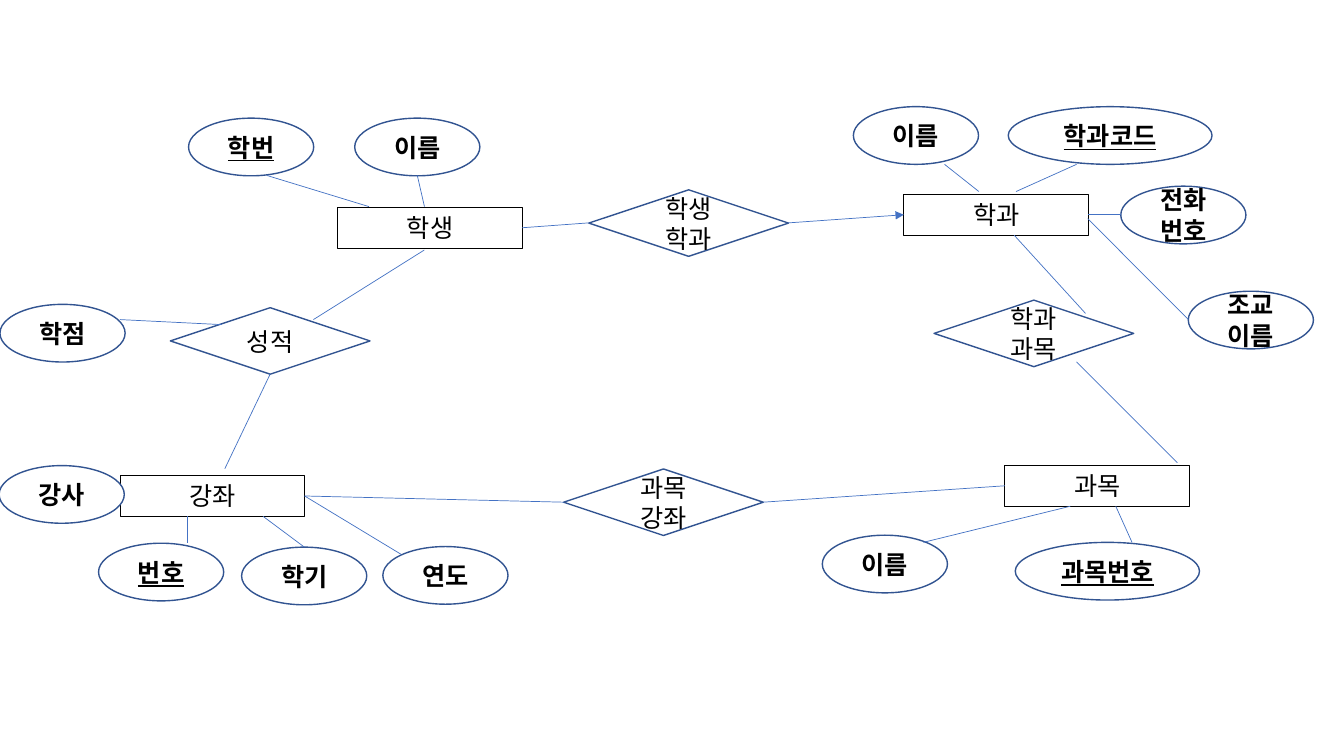
from lxml.etree import SubElement
from pptx import Presentation
from pptx.dml.color import RGBColor
from pptx.enum.lang import MSO_LANGUAGE_ID
from pptx.enum.shapes import MSO_CONNECTOR, MSO_SHAPE
from pptx.enum.text import MSO_ANCHOR, MSO_AUTO_SIZE, PP_ALIGN
from pptx.oxml.ns import qn
from pptx.util import Pt

BLACK = RGBColor(0x00, 0x00, 0x00)
WHITE = RGBColor(0xFF, 0xFF, 0xFF)
OUTLINE = RGBColor(0x32, 0x54, 0x91)
LINK = RGBColor(0x44, 0x72, 0xC4)
FONT = "Noto Sans CJK KR"

ENTITY_SIZE = (132, 29)
RELATION_SIZE = (142.6, 47.5)
ATTRIBUTE_WIDTH, ATTRIBUTE_HEIGHT = 89.4, 41.2

# Name, left, top
ENTITIES = [
    ("학생", 241.2, 148.2),
    ("과목", 717.8, 332.6),
    ("학과", 645.6, 139),
    ("강좌", 85.8, 339.8),
]
RELATIONS = [
    ("학과 과목", 667.2, 214.4),
    ("학생 학과", 420.6, 135.6),
    ("과목 강좌", 402.6, 335),
    ("성적", 121.7, 219.8),
]
ATTRIBUTES = [
    ("이름", 253.4, 84.4),
    ("이름", 609.6, 76.2),
    ("전화번호", 800.6, 133),
    ("조교 이름", 848.8, 208),
    ("이름", 587.4, 382.3),
    ("학기", 172.6, 390.8),
    ("연도", 273.5, 390.4),
    ("강사", -0.6, 332.6),
    ("학점", 0, 217.4),
]
# Name, left, top, width
KEY_ATTRIBUTES = [
    ("학번", 134.7, 84.4, ATTRIBUTE_WIDTH),
    ("학과코드", 720.2, 76.2, 145.6),
    ("과목번호", 725.2, 387.4, 131.6),
    ("번호", 70.4, 388, ATTRIBUTE_WIDTH),
]
# Start x, start y, end x, end y
ATTRIBUTE_LINKS = [
    (190.8, 125.4, 263.6, 147.6),
    (298.1, 125.4, 303.2, 147.6),
    (674.7, 117.4, 699.2, 136.8),
    (769, 117.4, 725.8, 136.8),
    (800.6, 153.4, 777, 153.4),
    (777, 156.2, 848.8, 228.2),
    (659.6, 387.4, 764.6, 361.6),
    (808.6, 387.4, 797, 361.6),
    (133.9, 368.8, 133.9, 388),
    (187.9, 368.8, 217.4, 390.8),
    (217.6, 354.3, 286.6, 396),
    (85.7, 228.3, 158.4, 231.9),
]
RELATION_LINKS = [
    (373, 162.7, 420.6, 159.2),
    (160.6, 334.8, 193, 267.2),
    (223.9, 228.3, 303.1, 178.6),
    (217.6, 354.3, 402.6, 358.7),
    (545.2, 358.7, 717.8, 347),
    (724.4, 168, 775.4, 223.9),
    (769, 258.5, 841, 330.5),
]
DEPARTMENT_ARROW = (563.2, 159.2, 645.6, 153.4)


def write_label(shape, label, key=False, bold=False):
    frame = shape.text_frame
    frame.text = label
    frame.word_wrap = True
    paragraph = frame.paragraphs[0]
    paragraph.alignment = PP_ALIGN.CENTER
    run = paragraph.runs[0]
    font = run.font
    font.size = Pt(18)
    font.name = FONT
    font.bold = bold
    font.underline = key
    font.color.rgb = BLACK
    font.language_id = MSO_LANGUAGE_ID.KOREAN
    SubElement(font._element, qn("a:ea"), typeface=FONT)


def add_entity(slide, name, left, top):
    entity = slide.shapes.add_textbox(
        Pt(left), Pt(top), *map(Pt, ENTITY_SIZE))
    entity.line.color.rgb = BLACK
    entity.line.width = Pt(0.75)
    write_label(entity, name)
    entity.text_frame.auto_size = MSO_AUTO_SIZE.SHAPE_TO_FIT_TEXT


def add_outlined(slide, kind, left, top, width, height):
    node = slide.shapes.add_shape(
        kind, Pt(left), Pt(top), Pt(width), Pt(height))
    node.shadow.inherit = False
    node.fill.solid()
    node.fill.fore_color.rgb = WHITE
    node.line.color.rgb = OUTLINE
    node.line.width = Pt(1)
    node.text_frame.vertical_anchor = MSO_ANCHOR.MIDDLE
    return node


def add_relation(slide, name, left, top):
    relation = add_outlined(slide, MSO_SHAPE.DIAMOND, left, top, *RELATION_SIZE)
    write_label(relation, name)


def add_attribute(slide, name, left, top, width=ATTRIBUTE_WIDTH, key=False):
    attribute = add_outlined(
        slide, MSO_SHAPE.OVAL, left, top, width, ATTRIBUTE_HEIGHT)
    write_label(attribute, name, key=key, bold=True)


def add_link(slide, ends, arrow=False):
    link = slide.shapes.add_connector(MSO_CONNECTOR.STRAIGHT, *map(Pt, ends))
    link.line.color.rgb = LINK
    link.line.width = Pt(0.5)
    if arrow:
        SubElement(link.line._get_or_add_ln(), qn("a:tailEnd"), type="triangle")
    SubElement(link._element.spPr, qn("a:effectLst"))


def main():
    deck = Presentation()
    deck.slide_width, deck.slide_height = Pt(960), Pt(540)
    slide = deck.slides.add_slide(deck.slide_layouts[6])

    # Entities, relations and attributes
    for entity in ENTITIES:
        add_entity(slide, *entity)
    for relation in RELATIONS:
        add_relation(slide, *relation)
    for attribute in ATTRIBUTES:
        add_attribute(slide, *attribute)
    for attribute in KEY_ATTRIBUTES:
        add_attribute(slide, *attribute, key=True)

    # Links between them
    for ends in ATTRIBUTE_LINKS + RELATION_LINKS:
        add_link(slide, ends)
    add_link(slide, DEPARTMENT_ARROW, arrow=True)

    deck.save("out.pptx")


main()
